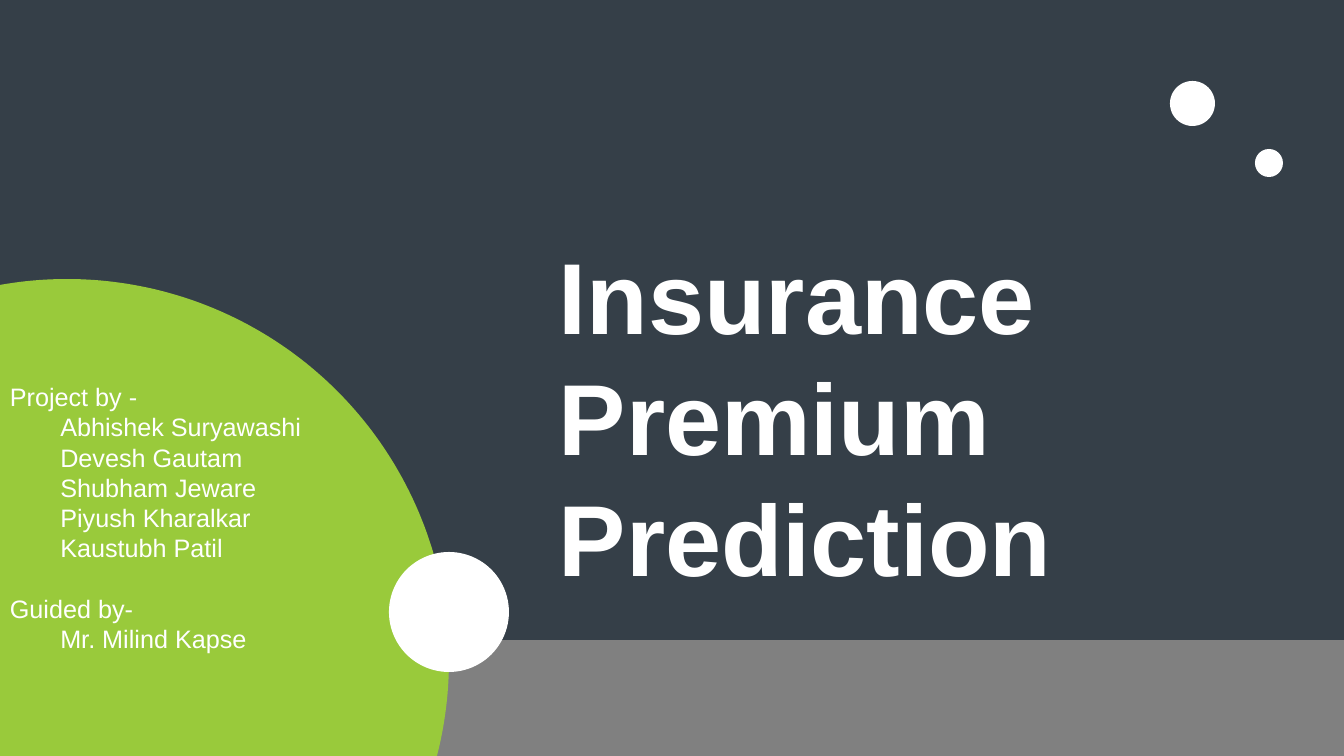
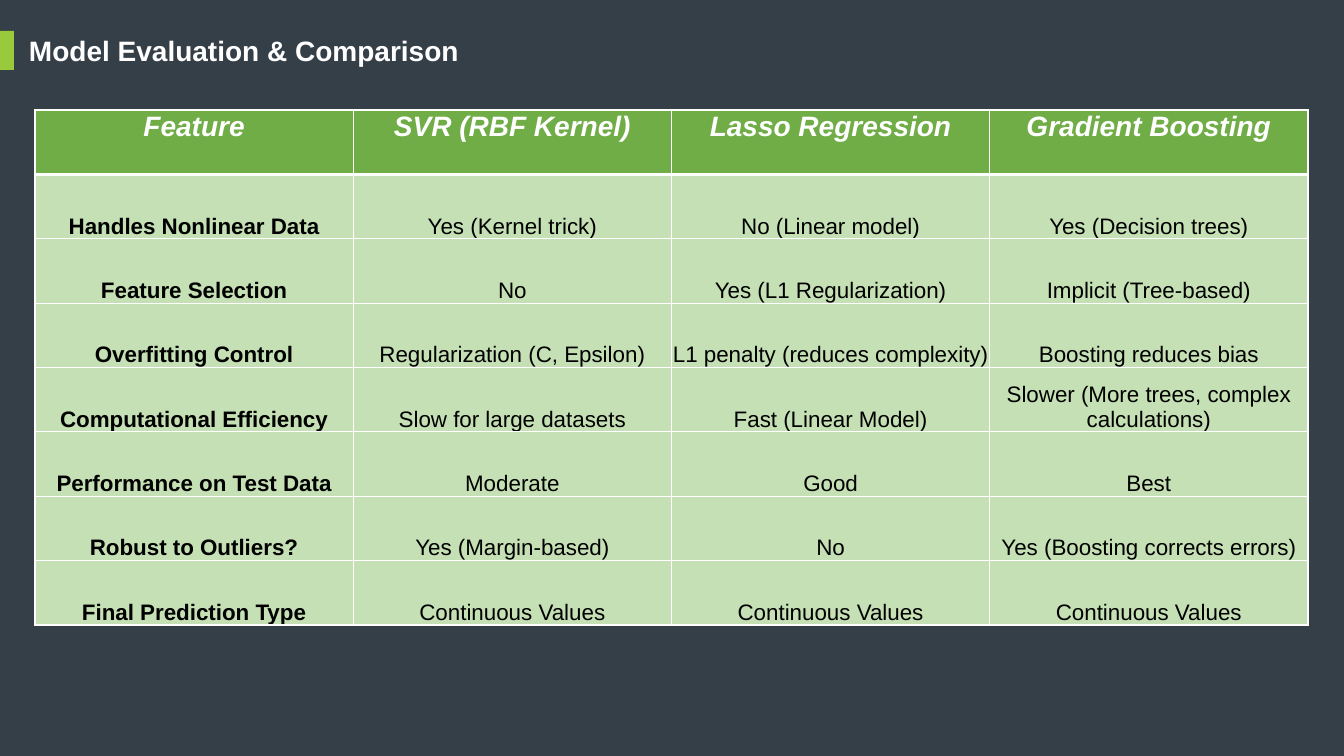
import math
from dataclasses import dataclass

from lxml import etree
from pptx import Presentation
from pptx import util as u
from pptx.dml.color import RGBColor
from pptx.enum import shapes, text
from pptx.oxml.ns import qn

SCALE = 914400 / 100.8  # EMU in one px
WIDTH, HEIGHT = 1344, 756


@dataclass(frozen=True)
class Theme:
    font: str = "Arial"
    back: str = "353F48"
    band: str = "808080"
    accent: str = "99CA3B"
    light: str = "FFFFFF"
    dark: str = "000000"
    header: str = "70AD47"
    cell: str = "C5E0B4"
    cover_size: int = 72
    title_size: int = 20
    credit_size: int = 18
    cell_size: int = 16
    leading: float = 1.2
    rule: int = 1
    heavy_rule: int = 3


T = Theme()

CREDITS = [
    ("Project by -", ["Abhishek Suryawashi", "Devesh Gautam", "Shubham Jeware",
                      "Piyush Kharalkar", "Kaustubh Patil"]),
    ("Guided by-", ["Mr. Milind Kapse"]),
]

COMPARISON = [
    ("Feature", "SVR (RBF Kernel)", "Lasso Regression", "Gradient Boosting"),
    ("Handles Nonlinear Data", "Yes (Kernel trick)", "No (Linear model)",
     "Yes (Decision trees)"),
    ("Feature Selection", "No", "Yes (L1 Regularization)", "Implicit (Tree-based)"),
    ("Overfitting Control", "Regularization (C, Epsilon)",
     "L1 penalty (reduces complexity)", "Boosting reduces bias"),
    ("Computational Efficiency", "Slow for large datasets", "Fast (Linear Model)",
     "Slower (More trees, complex calculations)"),
    ("Performance on Test Data", "Moderate", "Good", "Best"),
    ("Robust to Outliers?", "Yes (Margin-based)", "No",
     "Yes (Boosting corrects errors)"),
    ("Final Prediction Type", "Continuous Values", "Continuous Values",
     "Continuous Values"),
]


def px(n):
    return u.Emu(round(n * SCALE))


def rgb(color):
    return RGBColor.from_string(color)


# Shared parts
def new_slide(prs):
    s = prs.slides.add_slide(prs.slide_layouts[6])
    s.background.fill.solid()
    s.background.fill.fore_color.rgb = rgb(T.back)
    return s


def paint(sp, color):
    sp.shadow.inherit = False
    sp.fill.solid()
    sp.fill.fore_color.rgb = rgb(color)
    sp.line.fill.background()


def add_shape(s, kind, box, color):
    sp = s.shapes.add_shape(kind, *map(px, box))
    paint(sp, color)


def add_circle(s, x, y, size):
    add_shape(s, shapes.MSO_SHAPE.OVAL, (x, y, size, size), T.light)


def format_runs(p, size, color, bold=False, italic=False):
    for r in p.runs:
        r.font.name, r.font.size = T.font, u.Pt(size)
        r.font.bold, r.font.italic = bold, italic
        r.font.color.rgb = rgb(color)


def add_title(s, box, words, size):
    tf = s.shapes.add_textbox(*map(px, box)).text_frame
    tf.word_wrap = True
    p = tf.paragraphs[0]
    p.text = words
    p.line_spacing = u.Pt(size * T.leading)
    format_runs(p, size, T.light, bold=True)


# Cover: green disc, cut by the left and bottom slide edges
def add_disc(s, cx, cy, radius, steps=120):
    start = math.pi + math.acos(cx / radius)
    end = 2 * math.pi + math.asin((HEIGHT - cy) / radius)
    angles = [start + (end - start) * i / steps for i in range(steps + 1)]
    arc = [(cx + radius * math.cos(a), cy + radius * math.sin(a)) for a in angles]
    fb = s.shapes.build_freeform(px(0), px(HEIGHT), scale=1.0)
    fb.add_line_segments([(px(x), px(y)) for x, y in arc], close=True)
    sp = fb.convert_to_shape()
    paint(sp, T.accent)
    return sp


def add_credits(sp, groups):
    tf = sp.text_frame
    tf.word_wrap = True
    tf.vertical_anchor = text.MSO_ANCHOR.MIDDLE
    pitch = u.Pt(T.credit_size * T.leading)
    lines = [(words, i > 0, n > 0 and i == 0)
             for n, (head, names) in enumerate(groups)
             for i, words in enumerate([head, *names])]
    tf.text = "\n".join(words for words, _, _ in lines)
    for p, (_, indented, opens_group) in zip(tf.paragraphs, lines):
        p.alignment = text.PP_ALIGN.JUSTIFY
        p.line_spacing = pitch
        if opens_group:
            p.space_before = pitch
        if indented:
            p._p.get_or_add_pPr().set("indent", str(u.Inches(0.5)))
        format_runs(p, T.credit_size, T.light)


def cover_slide(prs):
    s = new_slide(prs)
    add_shape(s, shapes.MSO_SHAPE.RECTANGLE, (0, 640, WIDTH, 116), T.band)
    add_title(s, (549, 229, 728, 376), "Insurance Premium Prediction", T.cover_size)
    add_credits(add_disc(s, 67, 661, 382), CREDITS)
    for circle in [(389, 552, 120), (1170, 81, 45), (1255, 149, 28)]:
        add_circle(s, *circle)


# Comparison: title with marker, then the table
def set_borders(cell, **widths):
    tcPr = cell._tc.get_or_add_tcPr()
    for side in "LRTB":
        width = widths.get(side, T.rule)
        ln = etree.SubElement(tcPr, qn(f"a:ln{side}"), w=str(u.Pt(width)))
        fill = etree.SubElement(ln, qn("a:solidFill"))
        etree.SubElement(fill, qn("a:srgbClr"), val=T.light)


def fill_cell(cell, words, row, col):
    header = row == 0
    if header:
        set_borders(cell, B=T.heavy_rule)
    elif row == 1:
        set_borders(cell, T=T.heavy_rule)
    else:
        set_borders(cell)
    cell.fill.solid()
    cell.fill.fore_color.rgb = rgb(T.header if header else T.cell)
    cell.margin_left = cell.margin_right = cell.margin_top = px(1)
    cell.margin_bottom = 0
    cell.vertical_anchor = text.MSO_ANCHOR.TOP if header else text.MSO_ANCHOR.BOTTOM
    p = cell.text_frame.paragraphs[0]
    p.text = words
    p.alignment = text.PP_ALIGN.CENTER
    if header:
        format_runs(p, T.title_size, T.light, bold=True, italic=True)
    else:
        format_runs(p, T.cell_size, T.dark, bold=col == 0)


def add_comparison(s, box, rows):
    table = s.shapes.add_table(len(rows), len(rows[0]), *map(px, box)).table
    table.horz_banding = False
    for i, row in enumerate(rows):
        for j, words in enumerate(row):
            fill_cell(table.cell(i, j), words, i, j)


def comparison_slide(prs):
    s = new_slide(prs)
    add_title(s, (19, 29, 653, 44), "Model Evaluation & Comparison", T.title_size)
    add_shape(s, shapes.MSO_SHAPE.RECTANGLE, (0, 31, 14, 39), T.accent)
    add_comparison(s, (35, 110, 1273, 515), COMPARISON)


def main():
    prs = Presentation()
    prs.slide_width, prs.slide_height = px(WIDTH), px(HEIGHT)
    cover_slide(prs)
    comparison_slide(prs)
    prs.save("out.pptx")


if __name__ == "__main__":
    main()
